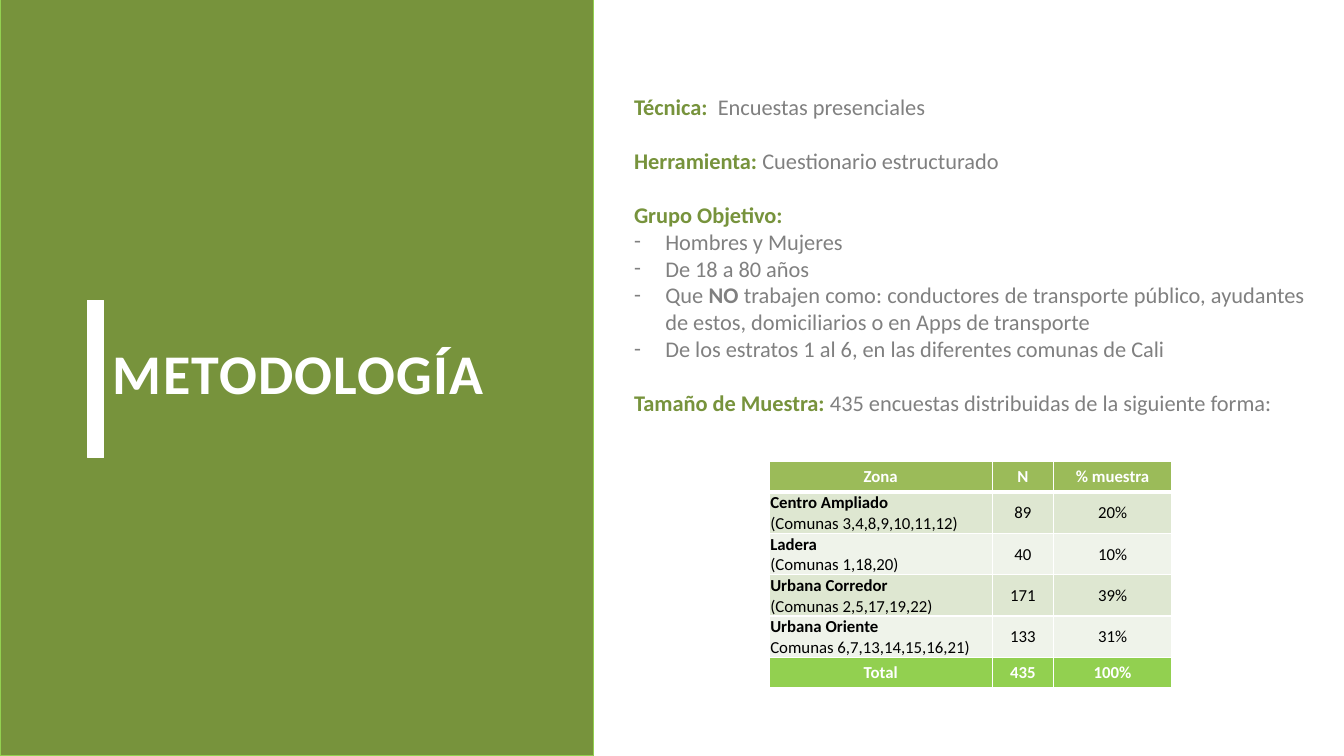
from lxml import etree
from pptx import Presentation
from pptx import util as u
from pptx.dml.color import RGBColor
from pptx.enum import shapes, text
from pptx.oxml import ns

FONT = "Calibri"
COLORS = {"panel": "77933C", "edge": "92D050", "white": "FFFFFF", "gray": "808080",
          "black": "000000", "header": "9BBB59", "band": "DEE7D1", "light": "EFF3EA"}
SLIDE_W, SLIDE_H = 13.33, 7.5
LINE = 19.5  # one line of 16 pt text, in points

# Each paragraph: (bulleted, gap before in lines, [(text, colour, bold), ...])
METHOD = [
    (False, 0, [("Técnica:  ", "panel", True), ("Encuestas presenciales", "gray", False)]),
    (False, 1, [("Herramienta: ", "panel", True), ("Cuestionario estructurado", "gray", False)]),
    (False, 1, [("Grupo Objetivo:", "panel", True)]),
    (True, 0, [("Hombres y Mujeres", "gray", False)]),
    (True, 0, [("De 18 a 80 años", "gray", False)]),
    (True, 0, [("Que ", "gray", False), ("NO", "gray", True),
               (" trabajen como: conductores de transporte público, ayudantes de estos, "
                "domiciliarios o en Apps de transporte", "gray", False)]),
    (True, 0, [("De los estratos 1 al 6, en las diferentes comunas de Cali", "gray", False)]),
    (False, 1, [("Tamaño de Muestra: ", "panel", True),
                ("435 encuestas distribuidas de la siguiente forma:", "gray", False)]),
]
SAMPLE = [
    ("Zona", "N", "% muestra"),
    ("Centro Ampliado\n(Comunas 3,4,8,9,10,11,12)", "89", "20%"),
    ("Ladera\n(Comunas 1,18,20)", "40", "10%"),
    ("Urbana Corredor\n(Comunas 2,5,17,19,22)", "171", "39%"),
    ("Urbana Oriente\nComunas 6,7,13,14,15,16,21)", "133", "31%"),
    ("Total", "435", "100%"),
]


def rgb(name):
    return RGBColor.from_string(COLORS[name])


def inches(*lengths):
    return [u.Inches(length) for length in lengths]


def set_attributes(target, **values):
    for name, value in values.items():
        setattr(target, name, value)


def add_run(paragraph, words, size, color, bold):
    run = paragraph.add_run()
    run.text = words
    set_attributes(run.font, name=FONT, size=u.Pt(size), bold=bold)
    run.font.color.rgb = rgb(color)
    return run


def add_block(slide, box, fill, line):
    block = slide.shapes.add_shape(shapes.MSO_SHAPE.RECTANGLE, *inches(*box))
    block.shadow.inherit = False
    block.fill.solid()
    block.fill.fore_color.rgb = rgb(fill)
    block.line.color.rgb = rgb(line)
    block.line.width = u.Pt(0.75)


def add_title_panel(slide, box):
    left, top, width, height = box
    add_block(slide, box, "panel", "edge")
    add_block(slide, (left + 0.87, top + 2.98, 0.16, 1.56), "white", "white")

    title = slide.shapes.title
    title.element.getparent().append(title.element)  # bring in front of the panel
    places = inches(left + 1.12, top + 3.35, 3.75, 0.68)
    set_attributes(title, **dict(zip(("left", "top", "width", "height"), places)))
    set_attributes(title.text_frame, margin_left=0, margin_right=0, margin_bottom=0,
                   margin_top=u.Inches(0.01), auto_size=text.MSO_AUTO_SIZE.NONE,
                   vertical_anchor=text.MSO_ANCHOR.TOP, word_wrap=True)
    heading = title.text_frame.paragraphs[0]
    heading.alignment = text.PP_ALIGN.LEFT
    run = add_run(heading, "METODOLOGÍA", 40, "white", True)
    run.font._element.set("spc", "90")


def add_dash(paragraph):
    properties = paragraph._p.get_or_add_pPr()
    indent = u.Inches(0.31)
    properties.set("marL", str(indent))
    properties.set("indent", str(-indent))
    etree.SubElement(properties, ns.qn("a:buFont"), typeface=FONT)
    etree.SubElement(properties, ns.qn("a:buChar"), char="-")


def add_method(slide, box):
    frame = slide.shapes.add_textbox(*inches(*box)).text_frame
    frame.word_wrap = True
    for index, (bulleted, gap, pieces) in enumerate(METHOD):
        paragraph = frame.add_paragraph() if index else frame.paragraphs[0]
        paragraph.alignment = text.PP_ALIGN.JUSTIFY
        if gap:
            paragraph.space_before = u.Pt(gap * LINE)
        if bulleted:
            add_dash(paragraph)
        for words, color, bold in pieces:
            add_run(paragraph, words, 16, color, bold)


def add_borders(cell, **widths):
    """Draw white cell borders, 1 pt wide unless a side is given another width."""
    properties = cell._tc.get_or_add_tcPr()
    for index, side in enumerate("LRTB"):
        line = etree.Element(ns.qn(f"a:ln{side}"), w=str(u.Pt(widths.get(side, 1))))
        fill = etree.SubElement(line, ns.qn("a:solidFill"))
        etree.SubElement(fill, ns.qn("a:srgbClr"), val=COLORS["white"])
        properties.insert(index, line)


def fill_cell(cell, words, fill, is_data, is_zone):
    cell.fill.solid()
    cell.fill.fore_color.rgb = rgb(fill)
    cell.vertical_anchor = text.MSO_ANCHOR.MIDDLE
    if is_data:
        edge = u.Inches(0.01)
        set_attributes(cell, margin_left=edge, margin_right=edge,
                       margin_top=edge, margin_bottom=0)
    for index, line in enumerate(words.split("\n")):
        frame = cell.text_frame
        paragraph = frame.add_paragraph() if index else frame.paragraphs[0]
        paragraph.alignment = text.PP_ALIGN.LEFT if is_zone else text.PP_ALIGN.CENTER
        bold = not is_data or (is_zone and index == 0)
        add_run(paragraph, line, 12, "black" if is_data else "white", bold)


def add_sample_table(slide, box):
    last = len(SAMPLE) - 1
    table = slide.shapes.add_table(len(SAMPLE), len(SAMPLE[0]), *inches(*box)).table
    for column, width in zip(table.columns, (2.21, 0.61, 1.17)):
        column.width = u.Inches(width)
    end_height = 0.3
    data_height = (box[3] - 2 * end_height) / (last - 1)
    for r, record in enumerate(SAMPLE):
        is_data = 0 < r < last
        table.rows[r].height = u.Inches(data_height if is_data else end_height)
        fill = {0: "header", last: "edge"}.get(r, "band" if r % 2 else "light")
        for c, words in enumerate(record):
            cell = table.cell(r, c)
            fill_cell(cell, words, fill, is_data, is_data and c == 0)
            add_borders(cell, **{0: {"B": 3}, 1: {"T": 3}}.get(r, {}))


def main():
    deck = Presentation()
    deck.slide_width, deck.slide_height = inches(SLIDE_W, SLIDE_H)
    slide = deck.slides.add_slide(deck.slide_layouts[5])
    add_title_panel(slide, (0, 0, 5.89, SLIDE_H))
    add_method(slide, (6.19, 0.87, 6.85, 3.33))
    add_sample_table(slide, (7.63, 4.58, 3.99, 2.24))
    deck.save("out.pptx")


if __name__ == "__main__":
    main()
